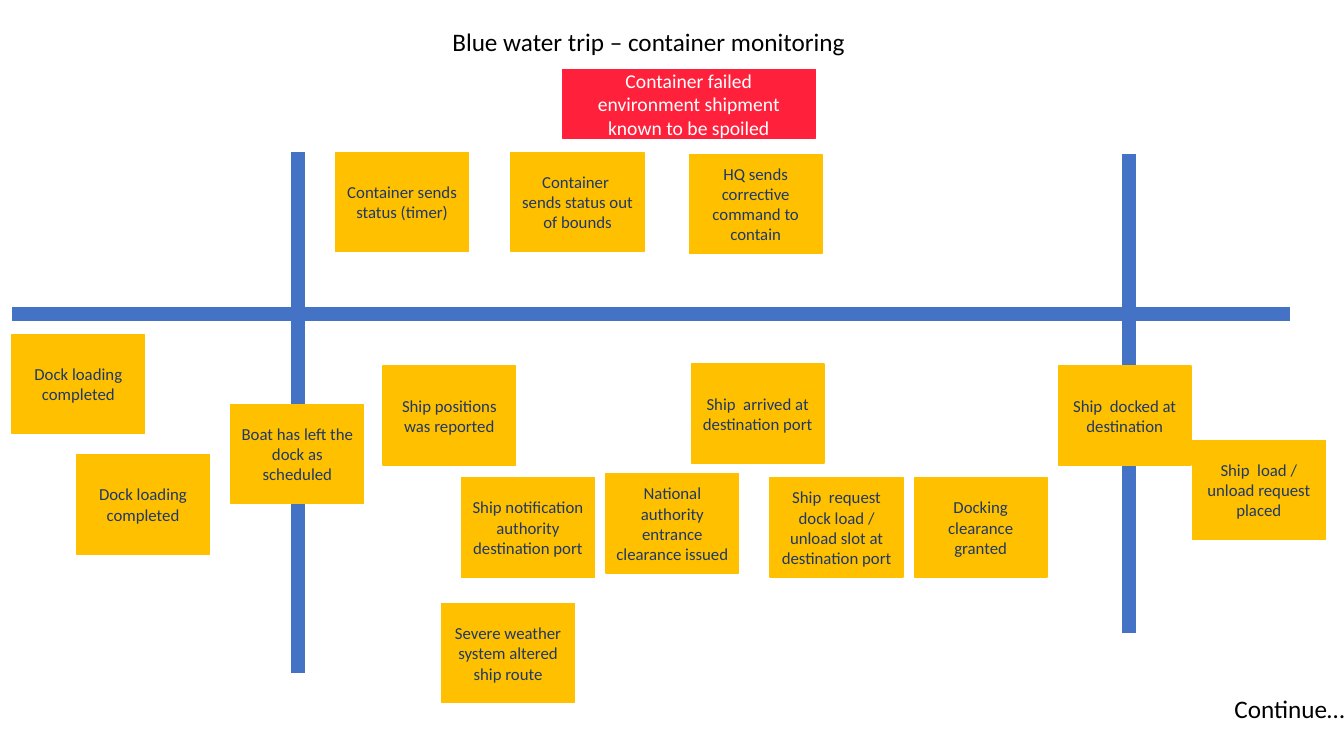
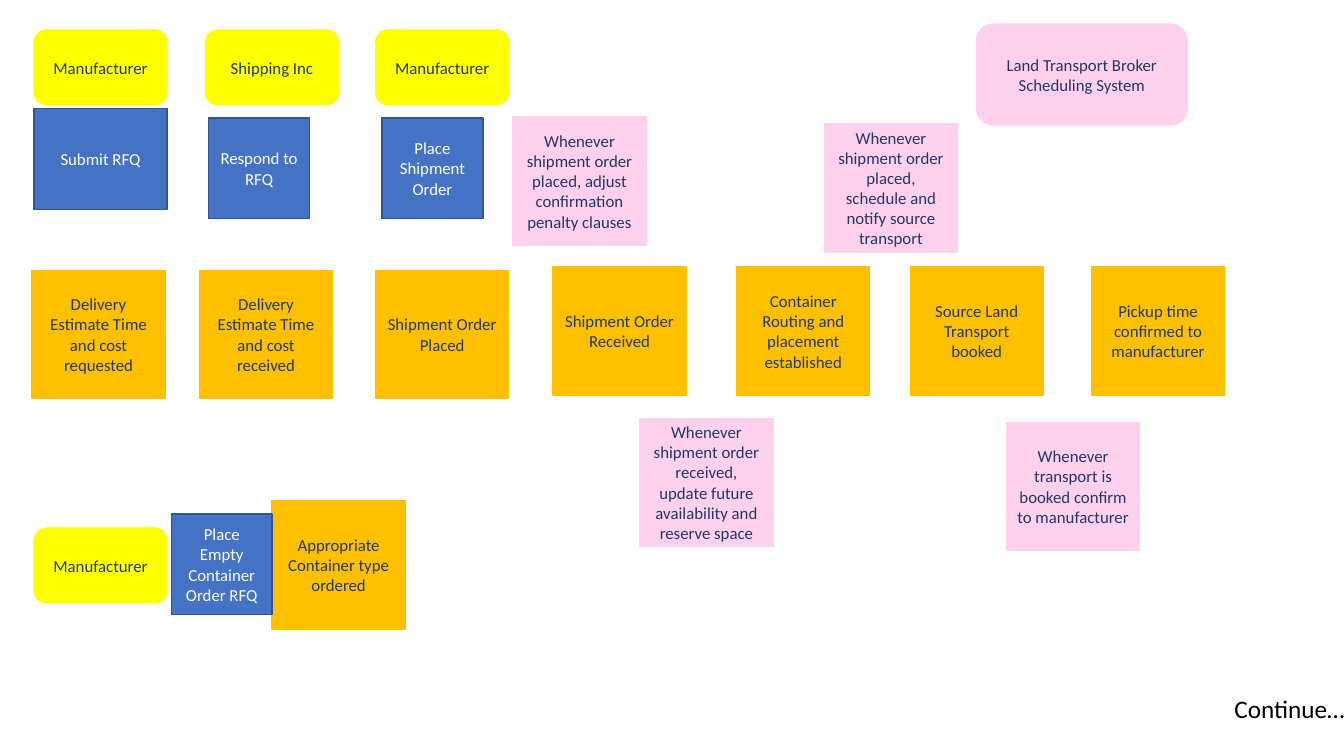
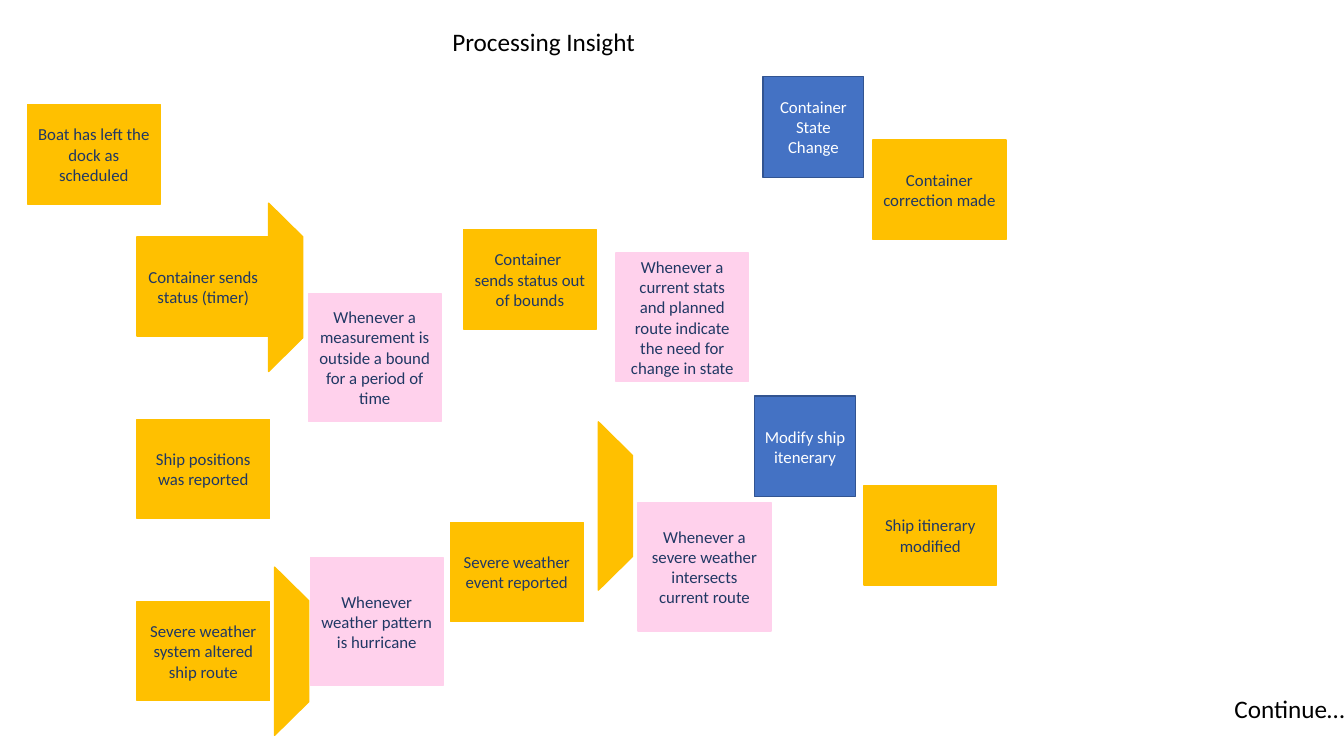
"""Build three event-storming slides for container shipping."""
from dataclasses import dataclass, replace

from lxml import etree
from pptx import Presentation
from pptx.dml.color import RGBColor
from pptx.enum.dml import MSO_PATTERN
from pptx.enum.shapes import MSO_CONNECTOR, MSO_SHAPE
from pptx.enum.text import MSO_ANCHOR, MSO_AUTO_SIZE, PP_ALIGN
from pptx.oxml.ns import qn
from pptx.util import Cm, Pt

FONT = "Calibri"
BLACK = RGBColor(0x00, 0x00, 0x00)
WHITE = RGBColor(0xFF, 0xFF, 0xFF)
NAVY = RGBColor(0x20, 0x38, 0x64)
BLUE = RGBColor(0x44, 0x72, 0xC4)
DARK_BLUE = RGBColor(0x32, 0x54, 0x91)
ORANGE = RGBColor(0xFF, 0xC0, 0x00)
YELLOW = RGBColor(0xFF, 0xFF, 0x00)
PINK = RGBColor(0xFF, 0xD1, 0xEC)
RED = RGBColor(0xFF, 0x21, 0x3C)


@dataclass(frozen=True)
class Kind:
    width: float
    height: float
    fill: RGBColor
    line: RGBColor
    color: RGBColor = NAVY
    size: int = 12
    shape: MSO_SHAPE = MSO_SHAPE.RECTANGLE
    rotation: int = 0
    striped: bool = False


EVENT = Kind(3.35, 2.5, ORANGE, ORANGE)
TALL_EVENT = replace(EVENT, height=3.23)
POLICY = Kind(3.35, 3.23, PINK, PINK)
COMMAND = Kind(2.54, 2.54, BLUE, DARK_BLUE, WHITE)
WIDE_COMMAND = replace(COMMAND, width=3.35)
ACTOR = Kind(3.35, 1.88, YELLOW, YELLOW, shape=MSO_SHAPE.ROUNDED_RECTANGLE)
SYSTEM = Kind(5.31, 2.54, PINK, PINK, shape=MSO_SHAPE.ROUNDED_RECTANGLE, striped=True)
ALERT = Kind(6.38, 1.73, RED, RED, WHITE, 14)
FUNNEL = Kind(4.24, 0.86, ORANGE, ORANGE,
              shape=MSO_SHAPE.FLOWCHART_MANUAL_OPERATION, rotation=270)


def add_note(s, kind, x, y, text=""):
    sp = s.shapes.add_shape(kind.shape, Cm(x), Cm(y), Cm(kind.width), Cm(kind.height))
    sp.shadow.inherit = False
    sp.rotation = kind.rotation
    if kind.striped:
        sp.fill.patterned()
        sp.fill.pattern = MSO_PATTERN.DARK_VERTICAL
        sp.fill.fore_color.rgb = kind.fill
        sp.fill.back_color.rgb = WHITE
    else:
        sp.fill.solid()
        sp.fill.fore_color.rgb = kind.fill
    sp.line.color.rgb = kind.line
    sp.line.width = Pt(1)
    if text:
        tf = sp.text_frame
        tf.word_wrap = True
        tf.vertical_anchor = MSO_ANCHOR.MIDDLE
        write(tf, text, kind.size, kind.color, PP_ALIGN.CENTER)


def add_notes(s, kind, notes):
    for x, y, *text in notes:
        add_note(s, kind, x, y, *text)


def write(tf, text, size, color, align):
    p = tf.paragraphs[0]
    p.text = text
    p.alignment = align
    p.font.name = FONT
    p.font.size = Pt(size)
    p.font.color.rgb = color


def add_label(s, x, y, width, text):
    tf = s.shapes.add_textbox(Cm(x), Cm(y), Cm(width), Cm(1.03)).text_frame
    tf.word_wrap = False
    tf.auto_size = MSO_AUTO_SIZE.SHAPE_TO_FIT_TEXT
    write(tf, text, 18, BLACK, PP_ALIGN.LEFT)


def add_bar(s, x1, y1, x2, y2):
    bar = s.shapes.add_connector(MSO_CONNECTOR.STRAIGHT, Cm(x1), Cm(y1), Cm(x2), Cm(y2))
    bar.line.color.rgb = BLUE
    bar.line.width = Pt(10)
    etree.SubElement(bar._element.spPr, qn("a:effectLst"))


def add_slide(prs, title="", width=0):
    s = prs.slides.add_slide(prs.slide_layouts[6])
    if title:
        add_label(s, 11.15, 0.53, width, title)
    add_label(s, 30.86, 17.35, 3.38, "Continue…")
    return s


def build_trip(prs):
    s = add_slide(prs, "Blue water trip – container monitoring", 10.52)
    add_bar(s, 0.3, 7.92, 32.51, 7.92)
    add_bar(s, 7.52, 3.84, 7.52, 16.97)
    add_bar(s, 28.45, 3.89, 28.45, 15.95)
    add_notes(s, EVENT, [
        (8.46, 3.84, "Container sends status (timer)"),
        (12.88, 3.84, "Container  sends status out of bounds"),
        (17.37, 3.89, "HQ sends corrective command to contain"),
        (1.93, 11.46, "Dock loading completed"),
        (0.3, 8.43, "Dock loading completed"),
        (5.82, 10.19, "Boat has left the dock as scheduled"),
        (9.65, 9.22, "Ship positions was reported"),
        (11.63, 12.04, "Ship notification authority destination port"),
        (11.13, 15.21, "Severe weather system altered ship route"),
        (15.27, 11.94, "National authority entrance clearance issued"),
        (17.42, 9.17, "Ship  arrived at destination port"),
        (19.41, 12.04, "Ship  request dock load / unload slot at destination port"),
        (23.04, 12.04, "Docking clearance granted"),
        (26.67, 9.22, "Ship  docked at destination"),
        (30.05, 11.1, "Ship  load / unload request placed"),
    ])
    add_note(s, ALERT, 14.17, 1.75, "Container failed environment shipment known to be spoiled")


def build_order(prs):
    s = add_slide(prs)
    add_notes(s, TALL_EVENT, [
        (0.81, 6.81, "Delivery Estimate Time and cost requested"),
        (5.03, 6.81, "Delivery Estimate Time and cost received"),
        (9.47, 6.81, "Shipment Order Placed"),
        (13.94, 6.73, "Shipment Order Received"),
        (18.57, 6.73, "Container Routing and placement established"),
        (22.94, 6.73, "Source Land Transport booked"),
        (27.51, 6.73, "Pickup time confirmed to manufacturer"),
        (6.86, 12.62, "Appropriate Container type ordered"),
    ])
    add_notes(s, ACTOR, [
        (0.86, 0.76, "Manufacturer"),
        (5.18, 0.76, "Shipping Inc"),
        (9.47, 0.76, "Manufacturer"),
        (0.86, 13.31, "Manufacturer"),
    ])
    add_notes(s, POLICY, [
        (12.93, 2.95, "Whenever shipment order placed, adjust confirmation penalty clauses"),
        (20.78, 3.12, "Whenever shipment order placed, schedule and notify source transport"),
        (16.13, 10.54, "Whenever shipment order received, update future availability "
                       "and reserve space"),
        (25.37, 10.64, "Whenever transport is booked confirm to manufacturer"),
    ])
    add_note(s, WIDE_COMMAND, 0.86, 2.74, "Submit RFQ")
    add_notes(s, COMMAND, [
        (5.26, 2.97, "Respond to RFQ"),
        (9.63, 2.97, "Place Shipment Order"),
        (4.32, 12.95, "Place Empty Container Order RFQ"),
    ])
    add_note(s, SYSTEM, 24.61, 0.61, "Land Transport Broker Scheduling System")


def build_insight(prs):
    s = add_slide(prs, "Processing Insight", 5.16)
    add_notes(s, EVENT, [
        (0.69, 2.64, "Boat has left the dock as scheduled"),
        (3.45, 5.97, "Container sends status (timer)"),
        (3.45, 10.57, "Ship positions was reported"),
        (3.45, 15.16, "Severe weather system altered ship route"),
        (11.68, 5.79, "Container  sends status out of bounds"),
        (11.35, 13.16, "Severe weather event reported"),
        (22, 3.53, "Container correction made"),
        (21.77, 12.24, "Ship itinerary modified"),
    ])
    add_notes(s, FUNNEL, [(5.08, 6.81), (5.23, 15.98), (13.39, 12.32)])
    add_notes(s, POLICY, [
        (7.77, 7.39, "Whenever a measurement is outside a bound for a period of time"),
        (7.82, 14.05, "Whenever weather pattern is hurricane"),
        (16.08, 12.67, "Whenever a severe weather intersects current route"),
        (15.52, 6.38, "Whenever a current stats and planned route indicate "
                      "the need for change in state"),
    ])
    add_notes(s, COMMAND, [
        (19.23, 1.93, "Container State Change"),
        (19.02, 9.98, "Modify ship itenerary"),
    ])


def main():
    prs = Presentation()
    prs.slide_width = Cm(33.87)
    prs.slide_height = Cm(19.05)
    build_trip(prs)
    build_order(prs)
    build_insight(prs)
    prs.save("out.pptx")


if __name__ == "__main__":
    main()
